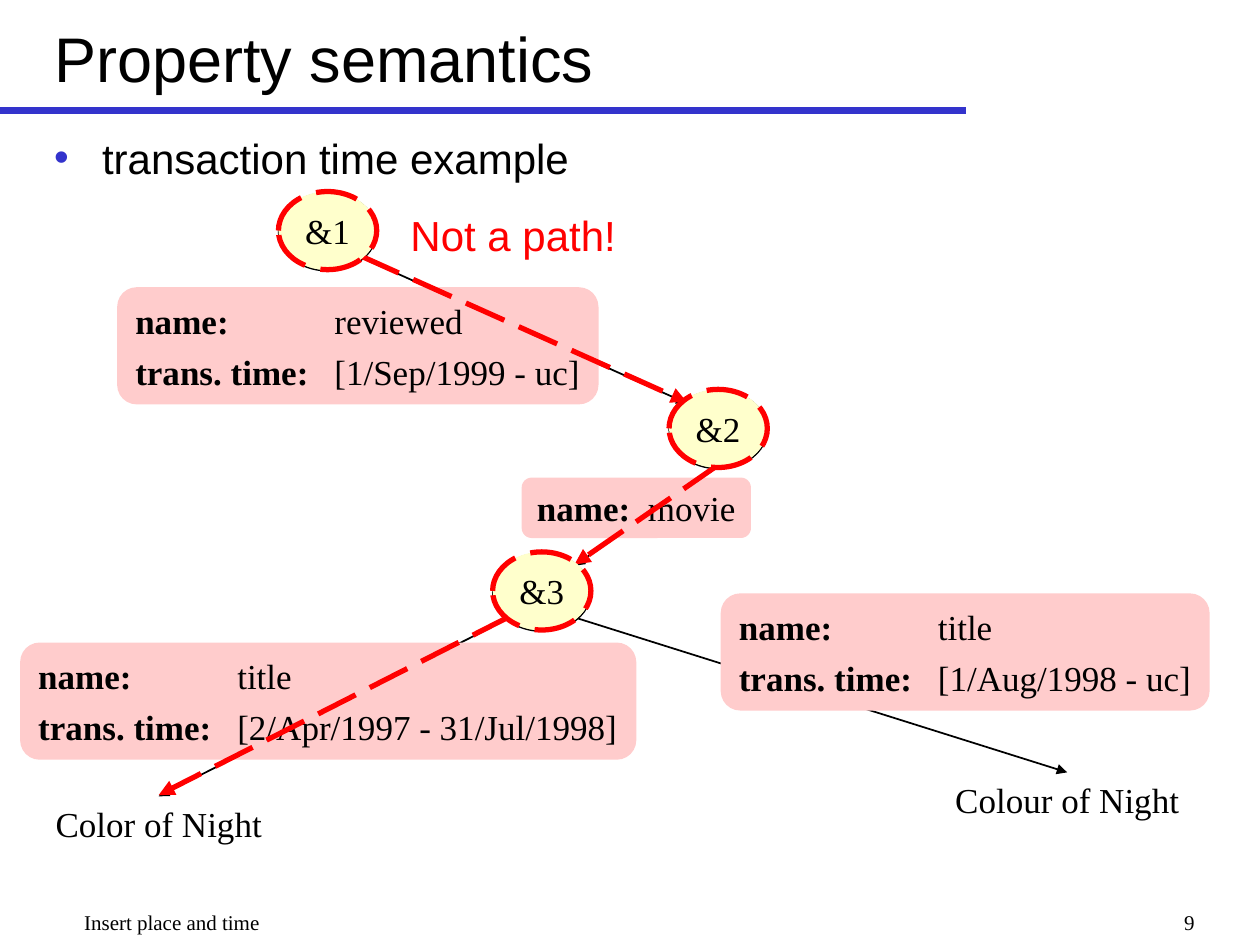
from dataclasses import dataclass

from lxml.etree import SubElement
from pptx import Presentation
from pptx.dml.color import RGBColor
from pptx.enum.dml import MSO_LINE
from pptx.enum.shapes import MSO_CONNECTOR, MSO_SHAPE
from pptx.enum.text import MSO_ANCHOR, MSO_AUTO_SIZE, PP_ALIGN
from pptx.oxml.ns import qn
from pptx.util import Inches, Pt


@dataclass(frozen=True)
class Theme:
    sans: str = "Arial"
    serif: str = "Times New Roman"
    black: str = "000000"
    accent: str = "3333CC"
    highlight: str = "FF0000"
    node: str = "FFFFCC"
    label: str = "FFCCCC"
    title_size: int = 36
    body_size: int = 24
    graph_size: int = 20
    footer_size: int = 12


@dataclass(frozen=True)
class Box:
    left: float
    top: float
    width: float
    height: float

    def inside(self, left, top, width, height):
        """Box measured from this box's top left corner."""
        return Box(self.left + left, self.top + top, width, height)

    def lengths(self):
        return [Inches(value) for value in (self.left, self.top, self.width, self.height)]


THEME = Theme()

# Graph geometry, relative to the graph's box
NODE_SIZE = (0.78, 0.62)
NODES = {"&1": (2.06, 0.03), "&2": (5.16, 1.6), "&3": (3.76, 2.89)}
ROUTE = [
    ((2.71, 0.54), (5.3, 1.7)),
    ((5.55, 2.2), (4.41, 2.99)),
    ((3.9, 3.4), (1.11, 4.82)),
]
BRANCH = ((4.41, 3.4), (8.32, 4.63))
LABELS = [
    ((5.57, 3.21, 3.88, 0.93), 1.58, [("name:", "title"), ("trans. time:", "[1/Aug/1998 - uc]")]),
    ((0.78, 0.78, 3.82, 0.93), 1.58, [("name:", "reviewed"), ("trans. time:", "[1/Sep/1999 - uc]")]),
    ((3.99, 2.29, 1.82, 0.48), 0.88, [("name:", "movie")]),
    ((0.01, 3.6, 4.89, 0.93), 1.58, [("name:", "title"), ("trans. time:", "[2/Apr/1997 - 31/Jul/1998]")]),
]


def style(font, name, size, color=THEME.black, bold=False):
    font.name, font.size, font.bold = name, Pt(size), bold
    font.color.rgb = RGBColor.from_string(color)


def place(shape, box):
    shape.left, shape.top, shape.width, shape.height = box.lengths()


def add_text(slide, box, text, name, size, color=THEME.black, align=PP_ALIGN.LEFT, wrap=False):
    shape = slide.shapes.add_textbox(*box.lengths())
    frame = shape.text_frame
    frame.word_wrap = wrap
    frame.text = text
    paragraph = frame.paragraphs[0]
    paragraph.alignment = align
    style(paragraph.runs[0].font, name, size, color)
    return shape


def add_line(slide, box, start, end, color, width, dash=None, arrow=True):
    points = [Inches(value) for x, y in (start, end) for value in (box.left + x, box.top + y)]
    line = slide.shapes.add_connector(MSO_CONNECTOR.STRAIGHT, *points)
    line.line.color.rgb = RGBColor.from_string(color)
    line.line.width = Pt(width)
    if dash:
        line.line.dash_style = dash
    if arrow:
        SubElement(line.line._get_or_add_ln(), qn("a:tailEnd"), type="triangle")
    SubElement(line._element.spPr, qn("a:effectLst"))
    return line


def add_filled(slide, kind, box, fill):
    shape = slide.shapes.add_shape(kind, *box.lengths())
    shape.shadow.inherit = False
    shape.fill.solid()
    shape.fill.fore_color.rgb = RGBColor.from_string(fill)
    shape.text_frame.vertical_anchor = MSO_ANCHOR.MIDDLE
    return shape


def add_node(slide, box, text, color, width, dash):
    shape = add_filled(slide, MSO_SHAPE.OVAL, box, THEME.node)
    shape.line.color.rgb = RGBColor.from_string(color)
    shape.line.width = Pt(width)
    if dash:
        shape.line.dash_style = dash
    frame = shape.text_frame
    frame.word_wrap = False
    frame.text = text
    frame.paragraphs[0].alignment = PP_ALIGN.CENTER
    style(frame.paragraphs[0].runs[0].font, THEME.serif, THEME.graph_size)


def add_label(slide, box, tab, rows):
    """Property box: bold names, values lined up at one tab stop."""
    shape = add_filled(slide, MSO_SHAPE.ROUNDED_RECTANGLE, box, THEME.label)
    shape.line.fill.background()
    frame = shape.text_frame
    frame.word_wrap = True
    frame.margin_right = 0
    for index, (name, value) in enumerate(rows):
        paragraph = frame.paragraphs[0] if index == 0 else frame.add_paragraph()
        paragraph.alignment = PP_ALIGN.LEFT
        paragraph.space_before = Pt(5 if index else 0)
        tabs = SubElement(paragraph._p.get_or_add_pPr(), qn("a:tabLst"))
        SubElement(tabs, qn("a:tab"), pos=str(Inches(tab)), algn="l")
        for text, bold in ((name, True), ("\t" + value, False)):
            run = paragraph.add_run()
            run.text = text
            style(run.font, THEME.serif, THEME.graph_size, bold=bold)


def add_route(slide, box, color, edge_width, node_width, dash=None):
    edges = [add_line(slide, box, *edge, color, edge_width, dash) for edge in ROUTE]
    for text, position in NODES.items():
        add_node(slide, box.inside(*position, *NODE_SIZE), text, color, node_width, dash)
    return edges


def add_graph(slide, box):
    # Leaf values
    old_title, new_title = [
        add_text(slide, box.inside(*area), text, THEME.serif, THEME.graph_size, align=PP_ALIGN.CENTER)
        for area, text in (
            ((0.19, 4.82, 1.84, 0.44), "Color of Night"),
            ((7.33, 4.63, 1.98, 0.44), "Colour of Night"),
        )
    ]
    # Edges and nodes
    branch = add_line(slide, box, *BRANCH, THEME.black, 1)
    branch.end_connect(new_title, 0)
    edges = add_route(slide, box, THEME.black, 1, 0.75)
    edges[-1].end_connect(old_title, 0)
    # Property labels
    for area, tab, rows in LABELS:
        add_label(slide, box.inside(*area), tab, rows)
    # Highlighted route
    raised = box.inside(0, -0.01, box.width, box.height)
    add_route(slide, raised, THEME.highlight, 3, 3, MSO_LINE.LONG_DASH)
    add_text(slide, box.inside(3.01, 0.11, 1.83, 0.5), "Not a path!",
             THEME.sans, THEME.body_size, THEME.highlight)


def add_header(slide, box):
    add_line(slide, box, (0, 0.88), (7.67, 0.88), THEME.accent, 4, arrow=False)
    title = slide.shapes.title
    place(title, box.inside(0.33, 0.04, 7.45, 0.83))
    frame = title.text_frame
    frame.text = "Property semantics"
    frame.auto_size = MSO_AUTO_SIZE.NONE
    frame.vertical_anchor = MSO_ANCHOR.MIDDLE
    frame.paragraphs[0].alignment = PP_ALIGN.LEFT
    style(frame.paragraphs[0].runs[0].font, THEME.sans, THEME.title_size)


def add_body(slide, box):
    body = slide.placeholders[1]
    place(body, box)
    frame = body.text_frame
    frame.text = "transaction time example"
    frame.auto_size = MSO_AUTO_SIZE.NONE
    paragraph = frame.paragraphs[0]
    paragraph.space_before = Pt(0)
    properties = paragraph._p.get_or_add_pPr()
    properties.set("marL", str(Inches(0.38)))
    properties.set("indent", str(Inches(-0.38)))
    SubElement(SubElement(properties, qn("a:buClr")), qn("a:srgbClr"), val=THEME.accent)
    SubElement(properties, qn("a:buFont"), typeface=THEME.sans)
    SubElement(properties, qn("a:buChar"), char="•")
    style(paragraph.runs[0].font, THEME.sans, THEME.body_size)


def add_footer(slide, box):
    add_text(slide, box.inside(0.24, 0, 6.39, 0.25), "Insert place and time",
             THEME.serif, THEME.footer_size, wrap=True)
    add_text(slide, box.inside(7.17, 0, 2.08, 0.25), "9",
             THEME.serif, THEME.footer_size, align=PP_ALIGN.RIGHT, wrap=True)


def main():
    presentation = Presentation()
    presentation.slide_width, presentation.slide_height = Inches(10), Inches(7.5)
    slide = presentation.slides.add_slide(presentation.slide_layouts[1])
    add_header(slide, Box(0, 0, 10, 0.9))
    add_body(slide, Box(0.33, 1, 9.25, 5.92))
    add_graph(slide, Box(0.15, 1.5, 9.45, 5.26))
    add_footer(slide, Box(0.33, 7.17, 9.25, 0.25))
    presentation.save("out.pptx")


if __name__ == "__main__":
    main()
